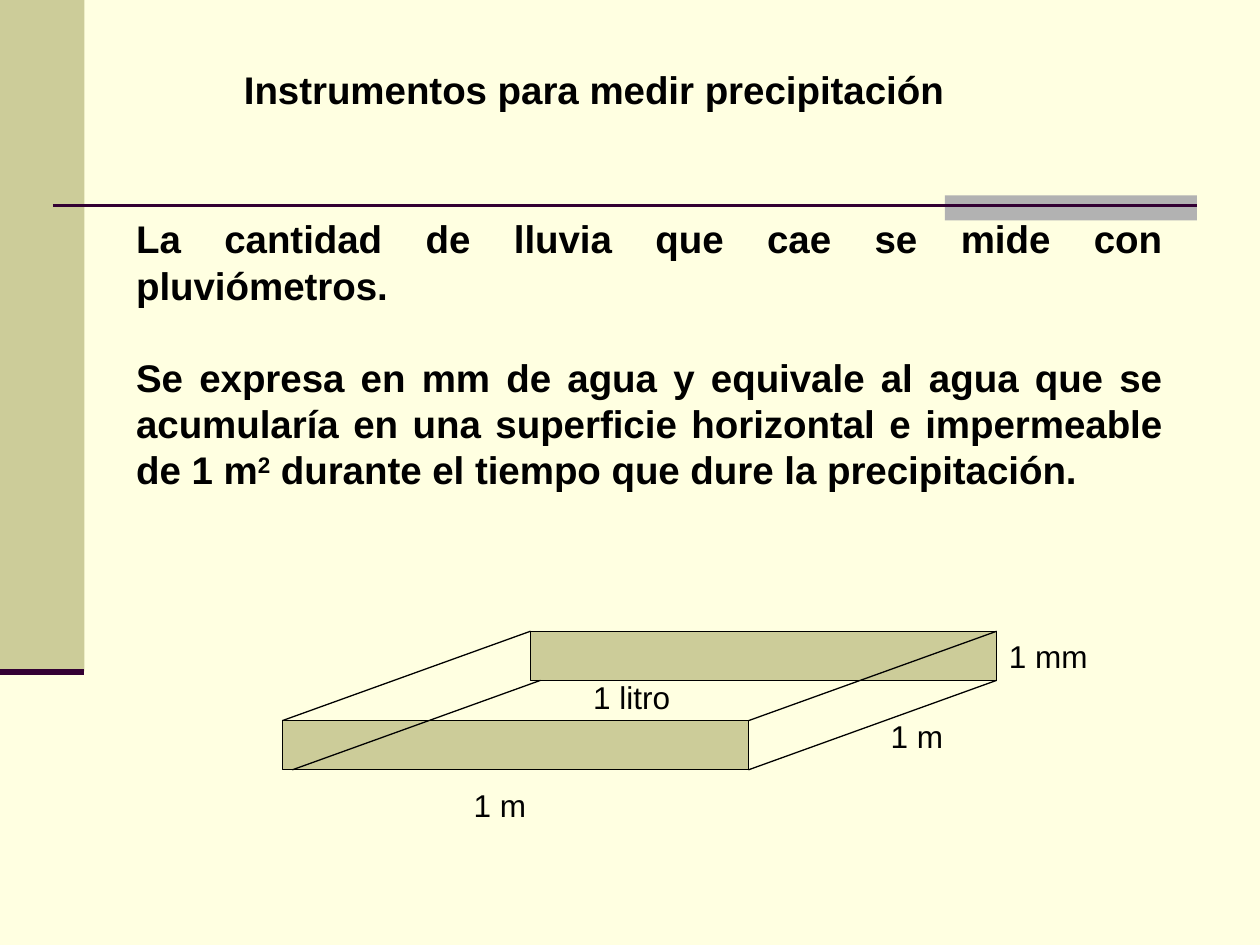
from lxml import etree
from pptx import Presentation
from pptx.dml.color import RGBColor
from pptx.enum import shapes, text
from pptx.oxml import ns
from pptx.util import Inches, Pt

FONT = "Arial"
BLACK, PURPLE, KHAKI, GREY, CREAM = "000000", "330033", "CCCC99", "B2B2B2", "FFFFE1"


def color(value):
    return RGBColor.from_string(value)


def place(shape, box):
    shape.left, shape.top, shape.width, shape.height = map(Inches, box)


def add_span(para, words, size, bold=False):
    span = para.add_run()
    span.text = words
    span.font.name, span.font.size, span.font.bold = FONT, Pt(size), bold
    span.font.color.rgb = color(BLACK)
    return span


def add_block(page, box, fill, line=None):
    block = page.shapes.add_shape(shapes.MSO_SHAPE.RECTANGLE, *map(Inches, box))
    block.shadow.inherit = False
    block.fill.solid()
    block.fill.fore_color.rgb = color(fill)
    if line:
        block.line.color.rgb = color(line)
        block.line.width = Pt(0.75)
    else:
        block.line.fill.background()


def add_line(page, start, end, line, width):
    edge = page.shapes.add_connector(
        shapes.MSO_CONNECTOR.STRAIGHT, *map(Inches, (*start, *end)))
    edge.line.color.rgb = color(line)
    edge.line.width = Pt(width)
    etree.SubElement(edge._element.spPr, ns.qn("a:effectLst"))


def add_label(page, box, words):
    frame = page.shapes.add_textbox(*map(Inches, box)).text_frame
    frame.word_wrap = False
    frame.auto_size = text.MSO_AUTO_SIZE.SHAPE_TO_FIT_TEXT
    add_span(frame.paragraphs[0], words, 18)


def add_frame(page):
    # Side band, accent bar and rules
    add_block(page, (0, 0, 0.67, 5.33), KHAKI)
    add_block(page, (7.5, 1.55, 2, 0.2), GREY)
    add_line(page, (0.42, 1.63), (9.5, 1.63), PURPLE, 1.5)
    add_line(page, (0, 5.33), (0.67, 5.33), PURPLE, 3.5)


def fill_title(title, box):
    place(title, box)
    frame = title.text_frame
    frame.auto_size = text.MSO_AUTO_SIZE.NONE
    frame.vertical_anchor = text.MSO_ANCHOR.TOP
    para = frame.paragraphs[0]
    para.alignment = text.PP_ALIGN.CENTER
    add_span(para, "Instrumentos para medir precipitación", 22, True)


def fill_body(body, box):
    place(body, box)
    frame = body.text_frame
    frame.auto_size = text.MSO_AUTO_SIZE.NONE
    frame.vertical_anchor = text.MSO_ANCHOR.MIDDLE
    intro, detail = frame.paragraphs[0], frame.add_paragraph()
    for para in (intro, detail):
        para.alignment = text.PP_ALIGN.JUSTIFY
        para.space_before = Pt(0)
        # No bullet or hanging indent
        props = para._p.get_or_add_pPr()
        props.set("marL", "0")
        props.set("indent", "0")
        etree.SubElement(props, ns.qn("a:buNone"))
    intro.space_after = Pt(26.4)
    add_span(intro, "La cantidad de lluvia que cae se mide con pluviómetros.", 22, True)
    add_span(detail, "Se expresa en mm de agua y equivale al agua que se acumularía "
             "en una superficie horizontal e impermeable de 1 m", 22, True)
    power = add_span(detail, "2", 22, True)
    power.font._element.set("baseline", "30000")
    add_span(detail, " durante el tiempo que dure la precipitación.", 22, True)


def add_tray(page, box):
    """Open tray of one square metre: back and front faces joined by edges."""
    left, top, width, height = box
    face_width, face_height = 3.7, 0.39
    shift, drop = width - face_width, height - face_height
    right, back = left + width, left + shift

    # Faces
    add_block(page, (back, top, face_width, face_height), KHAKI, BLACK)
    add_block(page, (left, top + drop, face_width, face_height), KHAKI, BLACK)

    # Receding edges
    bottom = top + face_height
    for x, y in ((right, top), (right, bottom), (back, top), (back + 0.08, bottom)):
        add_line(page, (x, y), (x - shift, y + drop), BLACK, 0.75)

    # Volume and dimensions
    for x, y, label_width, words in (
            (2.37, 0.32, 0.83, "1 litro"),
            (4.73, 0.63, 0.65, "1 m"),
            (1.42, 1.18, 0.65, "1 m"),
            (5.67, 0, 0.86, "1 mm")):
        add_label(page, (left + x, top + y, label_width, 0.4), words)


def main():
    deck = Presentation()
    deck.slide_width, deck.slide_height = Inches(10), Inches(7.5)
    page = deck.slides.add_slide(deck.slide_layouts[1])
    page.background.fill.solid()
    page.background.fill.fore_color.rgb = color(CREAM)

    add_frame(page)
    fill_title(page.shapes.title, (1.38, 0.47, 6.67, 0.84))
    fill_body(page.placeholders[1], (0.98, 1.66, 8.35, 2.3))
    add_tray(page, (2.24, 5.01, 5.67, 1.1))
    deck.save("out.pptx")


if __name__ == "__main__":
    main()
